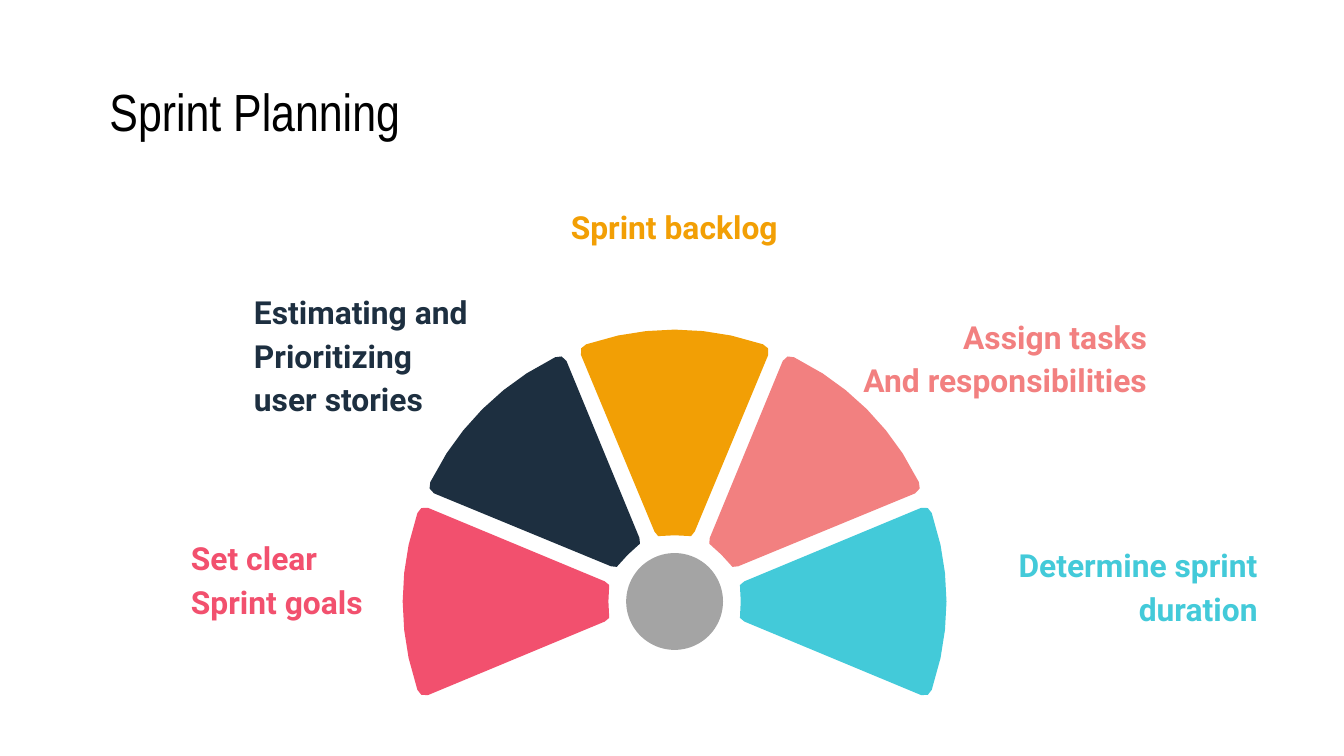
from math import cos, hypot, radians, sin

from pptx import Presentation
from pptx.dml.color import RGBColor
from pptx.enum.shapes import MSO_SHAPE
from pptx.enum.text import MSO_ANCHOR, PP_ALIGN
from pptx.util import Cm, Pt

OVAL = MSO_SHAPE.OVAL
MIDDLE = MSO_ANCHOR.MIDDLE
LEFT, CENTER, RIGHT = PP_ALIGN.LEFT, PP_ALIGN.CENTER, PP_ALIGN.RIGHT

THEME = {
    "title": {"font": "Arial Narrow", "size": 28, "bold": False, "spacing": 0.9},
    "label": {"font": "Roboto", "size": 17, "bold": True, "spacing": 1.15},
    "black": "000000",
    "hub": "A4A4A4",
    "goals": "F2506E",
    "stories": "1D2F40",
    "backlog": "F29F05",
    "tasks": "F28080",
    "duration": "43CAD9",
}


def add_text(lines, box, align, color, style):
    frame = slide.shapes.add_textbox(*map(Cm, box)).text_frame
    frame.word_wrap = True
    frame.vertical_anchor = MIDDLE
    frame.margin_left = frame.margin_right = Cm(0.25)
    frame.margin_top = frame.margin_bottom = Cm(0.25)
    frame.text = "\n".join(lines)
    for paragraph in frame.paragraphs:
        paragraph.alignment = align
        paragraph.line_spacing = style["spacing"]
        paragraph.font.name = style["font"]
        paragraph.font.size = Pt(style["size"])
        paragraph.font.bold = style["bold"]
        paragraph.font.color.rgb = RGBColor.from_string(color)


def paint(shape, color):
    shape.fill.solid()
    shape.fill.fore_color.rgb = RGBColor.from_string(color)
    shape.line.fill.background()
    shape.shadow.inherit = False


deck = Presentation()
deck.slide_width, deck.slide_height = Cm(25.4), Cm(14.29)
slide = deck.slides.add_slide(deck.slide_layouts[6])

add_text(["Sprint Planning"], (1.82, 1.5, 9.1, 1.35), LEFT, THEME["black"], THEME["title"])

hub_x, hub_y, hub_size = 12.75, 11.37, 1.83
hub = slide.shapes.add_shape(
    OVAL, Cm(hub_x - hub_size / 2), Cm(hub_y - hub_size / 2), Cm(hub_size), Cm(hub_size)
)
paint(hub, THEME["hub"])

outer_corner = ((1.67, -4.86), (1.81, -4.81), (1.77, -4.66))
inner_corner = ((0.38, -1.32), (0.33, -1.19), (0.2, -1.24))
outer_radius = hypot(*outer_corner[0])
half_wedge = [
    (outer_radius * sin(radians(angle)), -outer_radius * cos(radians(angle)))
    for angle in (0, 6, 12)
]
for start, control, end in (outer_corner, inner_corner):
    middle = tuple((a + 2 * b + c) / 4 for a, b, c in zip(start, control, end))
    half_wedge += [start, middle, end]
half_wedge.append((0, -1.25))
wedge = half_wedge + [(-x, y) for x, y in reversed(half_wedge[1:-1])]

steps = [
    ("goals", ["Set clear", "Sprint goals"], (3.36, 10.45, 4.67, 0.91), LEFT),
    ("stories", ["Estimating and", "Prioritizing user stories"], (4.55, 6.21, 4.67, 0.91), LEFT),
    ("backlog", ["Sprint backlog"], (10.41, 3.78, 4.67, 0.91), CENTER),
    ("tasks", ["Assign tasks", "And responsibilities"], (15.99, 5.74, 5.94, 1.96), RIGHT),
    ("duration", ["Determine sprint", "duration"], (18.3, 10.45, 5.72, 1.17), RIGHT),
]
for index, (step_name, lines, box, align) in enumerate(steps):
    turn = radians(45 * index - 90)
    outline = [
        (Cm(hub_x + x * cos(turn) - y * sin(turn)), Cm(hub_y + x * sin(turn) + y * cos(turn)))
        for x, y in wedge
    ]
    builder = slide.shapes.build_freeform(*outline[0])
    builder.add_line_segments(outline[1:], close=True)
    paint(builder.convert_to_shape(), THEME[step_name])
    add_text(lines, box, align, THEME[step_name], THEME["label"])

deck.save("out.pptx")
